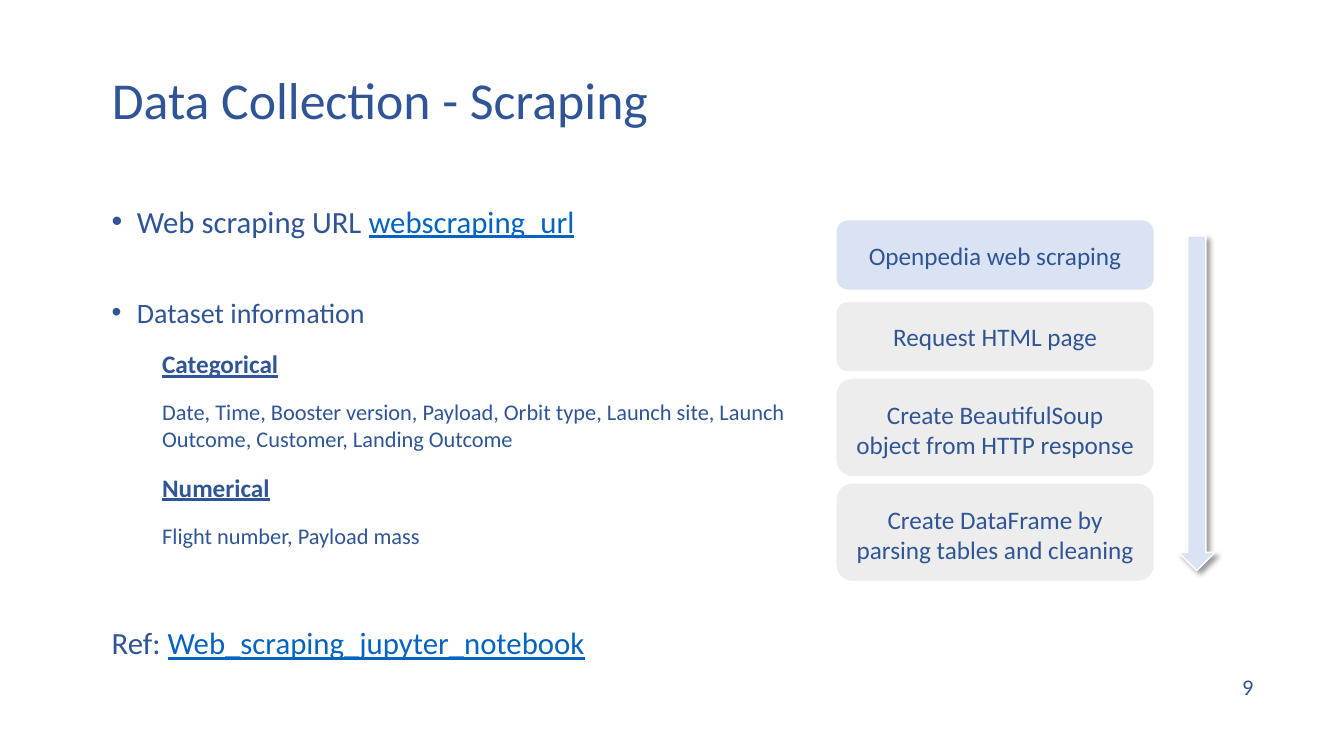
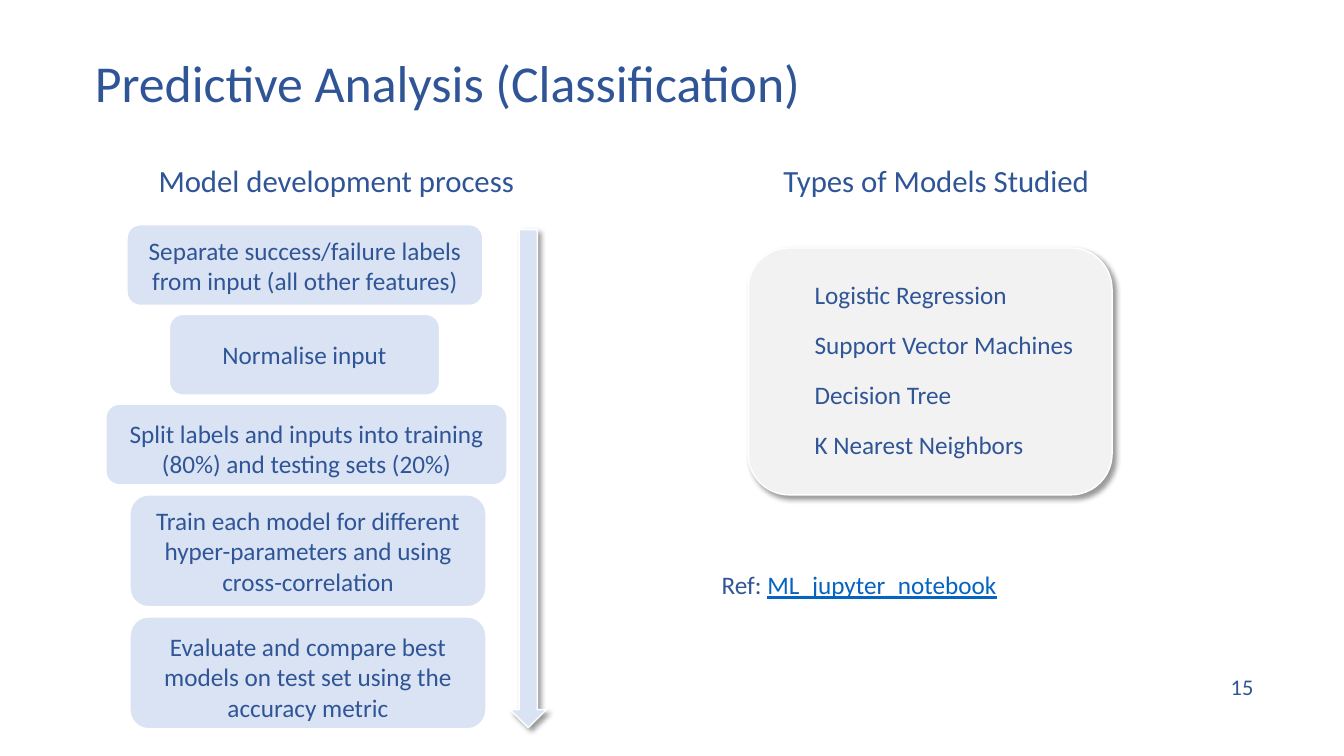
from lxml import etree
from pptx import Presentation
from pptx.dml.color import RGBColor
from pptx.enum import shapes, text
from pptx.oxml import ns
from pptx.util import Pt

PX = 9144  # 100 px to the inch
FONT = "Calibri"
INK = RGBColor(0x2F, 0x55, 0x97)
LINK = RGBColor(0x05, 0x63, 0xC1)
PALE = RGBColor(0xDA, 0xE3, 0xF3)
GREY = RGBColor(0xED, 0xED, 0xED)
MIST = RGBColor(0xF2, 0xF2, 0xF2)
WHITE = RGBColor(0xFF, 0xFF, 0xFF)
LEFT, MID, RIGHT = text.PP_ALIGN.LEFT, text.PP_ALIGN.CENTER, text.PP_ALIGN.RIGHT
ROUND = shapes.MSO_SHAPE.ROUNDED_RECTANGLE
ARROW = shapes.MSO_SHAPE.DOWN_ARROW


def px(*sizes):
    return [size * PX for size in sizes]


def put(frame, words, link="", size=18, bold=False, under=False, align=LEFT,
        before=0, indent=0, bullet=False):
    """Fill the empty first paragraph of a frame, or add a paragraph to it."""
    para = frame.paragraphs[0]
    if para.runs:
        para = frame.add_paragraph()
    props = para._p.get_or_add_pPr()
    props.set("marL", str(indent * PX))
    props.set("indent", str(-indent * PX if bullet else 0))
    if bullet:
        etree.SubElement(props, ns.qn("a:buFont")).set("typeface", "Arial")
        etree.SubElement(props, ns.qn("a:buChar")).set("char", "•")
    para.alignment = align
    if before:
        para.space_before = Pt(before)
    for part, hue, line in ((words, INK, under), (link, LINK, True)):
        if part:
            run = para.add_run()
            run.text = part
            font = run.font
            font.name, font.size, font.bold = FONT, Pt(size), bold
            font.underline = line
            font.color.rgb = hue
    return para


def add_box(slide, x, y, w, h):
    """Add an empty wrapping text box and return its frame."""
    frame = slide.shapes.add_textbox(*px(x, y, w, h)).text_frame
    frame.word_wrap = True
    return frame


def add_shape(slide, kind, x, y, w, h, fill, raised=False):
    shape = slide.shapes.add_shape(kind, *px(x, y, w, h))
    shape.shadow.inherit = False
    shape.fill.solid()
    shape.fill.fore_color.rgb = fill
    shape.line.color.rgb = WHITE
    shape.line.width = Pt(1)
    if raised:
        effects = shape._element.spPr.find(ns.qn("a:effectLst"))
        shade = etree.SubElement(effects, ns.qn("a:outerShdw"), blurRad="50800",
                                 dist="38100", dir="2700000", algn="tl", rotWithShape="0")
        hue = etree.SubElement(shade, ns.qn("a:srgbClr"), val="000000")
        etree.SubElement(hue, ns.qn("a:alpha"), val="40000")
    return shape


def add_card(slide, x, y, w, h, lines, fill=PALE, drop=0, inset=12,
             align=MID, before=0, raised=False):
    """Add a rounded box whose text sits drop px below its middle."""
    frame = add_shape(slide, ROUND, x, y, w, h, fill, raised).text_frame
    frame.word_wrap = True
    frame.vertical_anchor = text.MSO_ANCHOR.MIDDLE
    frame.margin_left, frame.margin_right = px(inset, 12)
    frame.margin_top, frame.margin_bottom = px(5 + 2 * drop, 5)
    for spot, line in enumerate(lines):
        put(frame, line, align=align, before=before if spot else 0)


def add_slide(deck, title, x, y, number):
    """Add a slide with its title and page number."""
    slide = deck.slides.add_slide(deck.slide_layouts[5])
    head = slide.shapes.title
    head.left, head.top, head.width, head.height = px(x, y, 1150, 60)
    frame = head.text_frame
    frame.auto_size = text.MSO_AUTO_SIZE.NONE
    frame.vertical_anchor = text.MSO_ANCHOR.MIDDLE
    put(frame, title, size=37).line_spacing = 0.7
    foot = add_box(slide, 953, 659, 300, 44)
    foot.vertical_anchor = text.MSO_ANCHOR.MIDDLE
    put(foot, number, size=16, align=RIGHT)
    return slide


def add_scraping(deck):
    slide = add_slide(deck, "Data Collection - Scraping", 101, 76, "9")
    body = add_box(slide, 101, 196, 705, 495)
    put(body, "Web scraping URL ", link="webscraping_url", size=22, indent=25, bullet=True)
    put(body, "Dataset information", size=20, before=40, indent=25, bullet=True)
    groups = (
        ("Categorical", "Date, Time, Booster version, Payload, Orbit type, Launch site, "
                        "Launch Outcome, Customer, Landing Outcome"),
        ("Numerical", "Flight number, Payload mass"),
    )
    for name, fields in groups:
        put(body, name, bold=True, under=True, before=14, indent=50)
        put(body, fields, size=16, before=14, indent=50)
    put(body, "Ref: ", link="Web_scraping_jupyter_notebook", size=22, before=54)

    steps = (
        (218, 70, PALE, 0, ["Openpedia web scraping"]),
        (299, 70, GREY, 0, ["Request HTML page"]),
        (375, 98, GREY, 2, ["Create BeautifulSoup object from HTTP response"]),
        (479, 98, GREY, 2, ["Create DataFrame by", "parsing tables and cleaning"]),
    )
    for y, h, fill, drop, lines in steps:
        add_card(slide, 829, y, 316, h, lines, fill=fill, drop=drop)
    add_shape(slide, ARROW, 1169, 234, 36, 332, PALE, raised=True)


def add_models(deck):
    slide = add_slide(deck, "Predictive Analysis (Classification)", 84, 59, "15")
    for x, head in ((84, "Model development process"), (679, "Types of Models Studied")):
        put(add_box(slide, x, 156, 499, 63), head, size=22, align=MID)

    steps = (
        (126, 223, 353, 80, 0, "Separate success/failure labels from input (all other features)"),
        (168, 312, 268, 80, 0, "Normalise input"),
        (105, 401, 398, 80, 4, "Split labels and inputs into training (80%) and testing sets (20%)"),
        (129, 491, 353, 111, 0,
         "Train each model for different hyper-parameters and using cross-correlation"),
        (129, 612, 353, 111, 4,
         "Evaluate and compare best models on test set using the accuracy metric"),
    )
    for x, y, w, h, drop, line in steps:
        add_card(slide, x, y, w, h, [line], drop=drop)
    add_shape(slide, ARROW, 506, 228, 36, 494, PALE, raised=True)

    models = ["Logistic Regression", "Support Vector Machines", "Decision Tree",
              "K Nearest Neighbors"]
    add_card(slide, 742, 246, 361, 245, models, fill=MIST, drop=-2, inset=54,
             align=LEFT, before=14, raised=True)
    put(add_box(slide, 706, 560, 499, 40), "Ref: ", link="ML_jupyter_notebook")


def main():
    deck = Presentation()
    deck.slide_width, deck.slide_height = px(1333, 750)
    add_scraping(deck)
    add_models(deck)
    deck.save("out.pptx")


if __name__ == "__main__":
    main()
